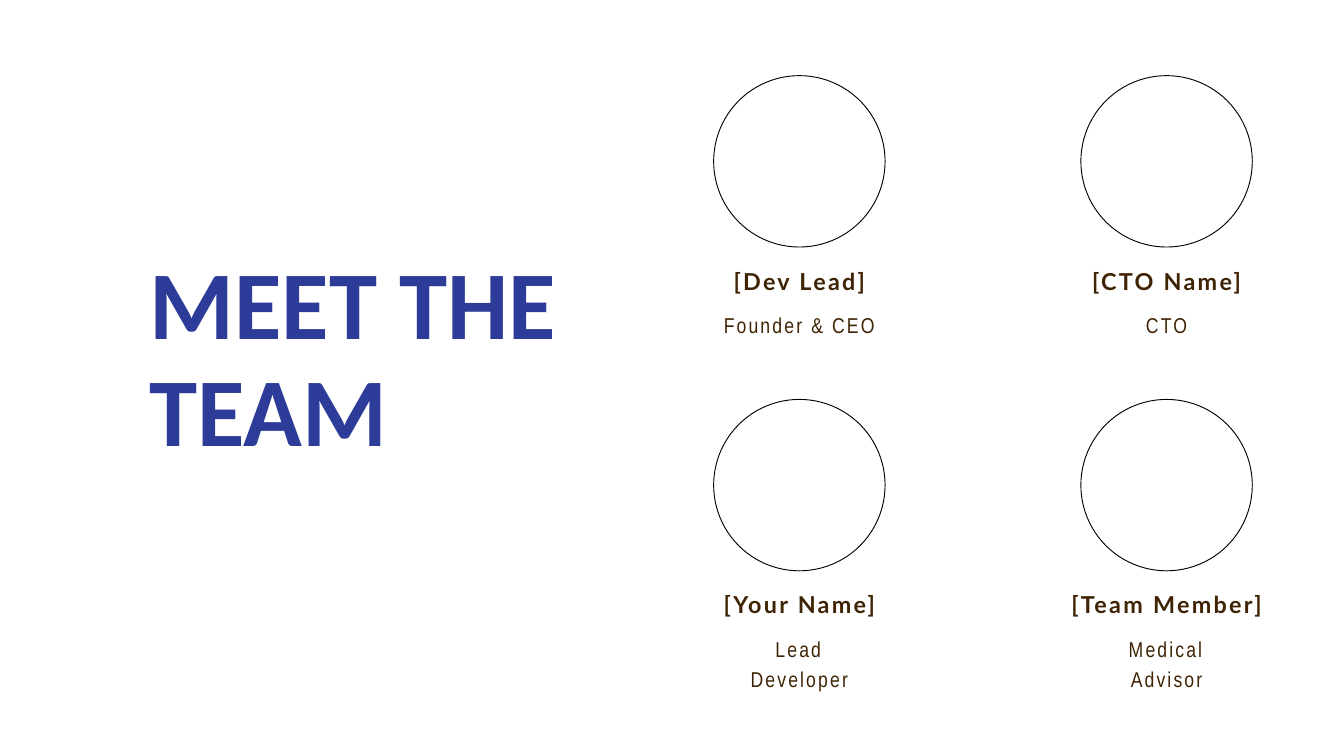
from pptx import Presentation
from pptx.dml.color import RGBColor
from pptx.enum.shapes import MSO_SHAPE
from pptx.enum.text import PP_ALIGN
from pptx.util import Cm, Pt

COLORS = {"title": "2E3C99", "text": "3F2305", "outline": "000000"}

# Lengths in centimetres
CARD_WIDTH = 9.63
PORTRAIT_SIZE = 6.48
GRID_LEFT, GRID_TOP = 25.4, 2.86
COLUMN_PITCH, ROW_PITCH = 13.88, 12.24
NARROW_ROLE = 4.85

# Rows of (name, role, role width)
TEAM = [
    [("[Dev Lead]", "Founder & CEO", CARD_WIDTH),
     ("[CTO Name]", "CTO", NARROW_ROLE)],
    [("[Your Name]", "Lead Developer", NARROW_ROLE),
     ("[Team Member]", "Medical Advisor", NARROW_ROLE)],
]


def add_text(slide, box, text, font, size, leading, color,
             bold=False, align=PP_ALIGN.LEFT, spacing=0):
    frame = slide.shapes.add_textbox(*(Cm(v) for v in box)).text_frame
    frame.word_wrap = True
    frame.margin_left = frame.margin_right = 0
    frame.margin_top = frame.margin_bottom = 0
    paragraph = frame.paragraphs[0]
    paragraph.alignment = align
    paragraph.line_spacing = Pt(leading)
    run = paragraph.add_run()
    run.text = text
    run.font.name = font
    run.font.size = Pt(size)
    run.font.bold = bold
    run.font.color.rgb = RGBColor.from_string(COLORS[color])
    if spacing:
        # Letter spacing, in hundredths of a point
        run.font._element.set("spc", str(round(spacing * 100)))


def add_title(slide, left, top, width, height):
    add_text(slide, (left, top, width, height), "MEET THE TEAM",
             "Calibri", 104, 114.4, "title", bold=True)


def add_member(slide, left, top, width, name, role, role_width):
    # Empty portrait circle
    portrait = slide.shapes.add_shape(
        MSO_SHAPE.OVAL, Cm(left + (width - PORTRAIT_SIZE) / 2), Cm(top),
        Cm(PORTRAIT_SIZE), Cm(PORTRAIT_SIZE))
    portrait.shadow.inherit = False
    portrait.fill.background()
    portrait.line.color.rgb = RGBColor.from_string(COLORS["outline"])
    portrait.line.width = Pt(1)

    # Name and role, centred below
    add_text(slide, (left, top + 7.05, width, 1.32), name, "Lato", 25, 35,
             "text", bold=True, align=PP_ALIGN.CENTER, spacing=2.5)
    add_text(slide, (left + (width - role_width) / 2, top + 8.77, role_width, 1.22),
             role, "Arial Narrow", 23, 32.2, "text",
             align=PP_ALIGN.CENTER, spacing=2.3)


def add_team_grid(slide, left, top):
    for row, members in enumerate(TEAM):
        for column, member in enumerate(members):
            add_member(slide, left + column * COLUMN_PITCH,
                       top + row * ROW_PITCH, CARD_WIDTH, *member)


def main():
    prs = Presentation()
    prs.slide_width, prs.slide_height = Cm(50.8), Cm(28.58)
    slide = prs.slides.add_slide(prs.slide_layouts[6])
    add_title(slide, 5.66, 9.53, 20.98, 8.23)
    add_team_grid(slide, GRID_LEFT, GRID_TOP)
    prs.save("out.pptx")


if __name__ == "__main__":
    main()
